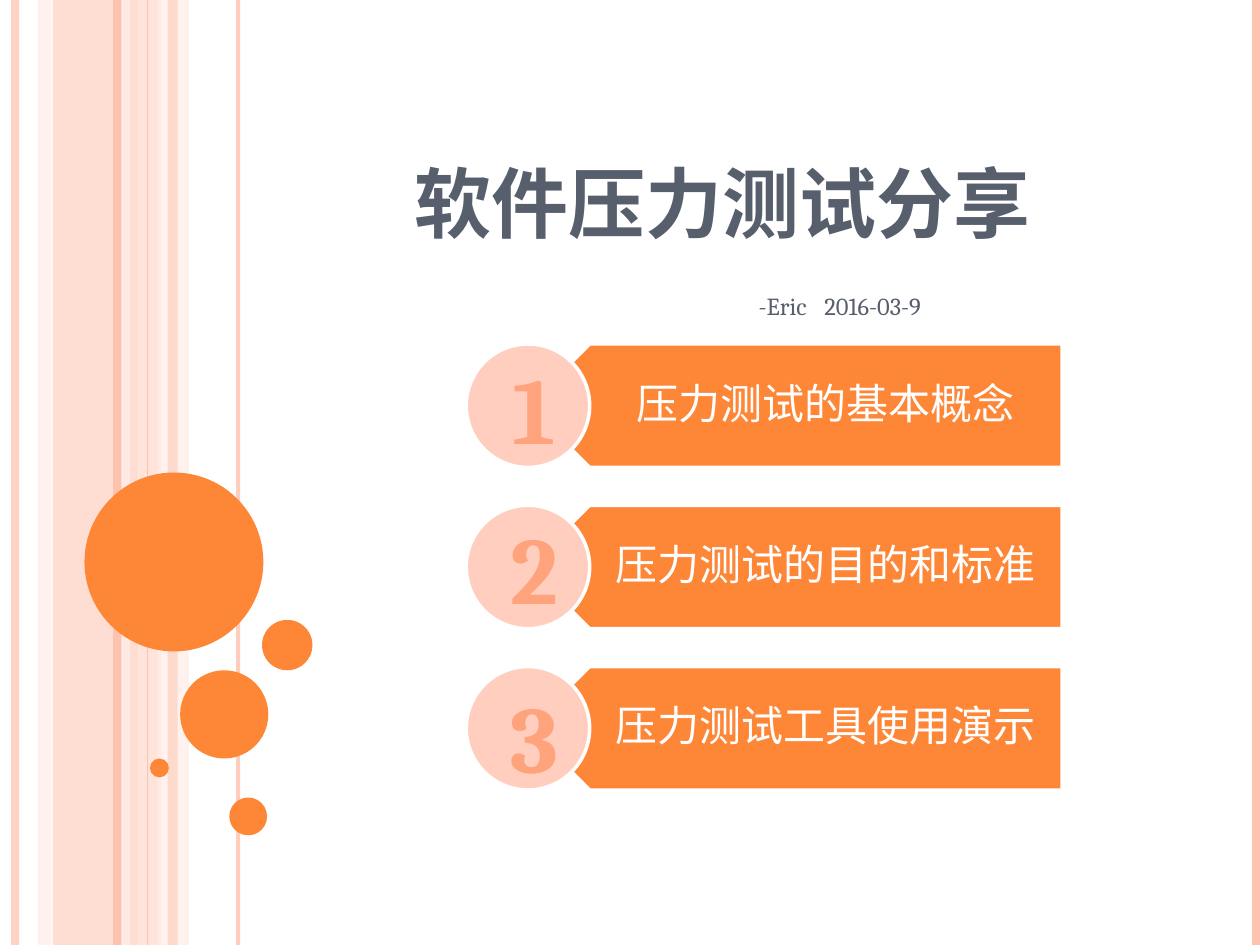
import pptx
import pptx.util
import pptx.dml.color
import pptx.enum.shapes
import pptx.enum.text
from lxml import etree
from pptx.util import Inches

RGB = pptx.dml.color.RGBColor
SHAPE = pptx.enum.shapes.MSO_SHAPE
ALIGN = pptx.enum.text.PP_ALIGN
ANCHOR = pptx.enum.text.MSO_ANCHOR
A = "{http://schemas.openxmlformats.org/drawingml/2006/main}"

ORANGE = RGB(0xFE, 0x86, 0x37)
PEACH = RGB(0xFE, 0xC3, 0xAE)
LIGHT = RGB(0xFF, 0xD9, 0xCE)
PALE = RGB(0xFF, 0xED, 0xE8)
DISC = RGB(0xFF, 0xCE, 0xBF)
DIGIT = RGB(0xFF, 0xA3, 0x7C)
SLATE = RGB(0x57, 0x5F, 0x6D)
WHITE = RGB(0xFF, 0xFF, 0xFF)


def add_run(p, text, size=14, color=SLATE, bold=False, spacing=0):
    r = p.add_run()
    r.text = text
    r.font.name = "Cambria"
    r.font.size = pptx.util.Pt(size)
    r.font.bold = bold
    r.font.color.rgb = color
    if spacing:
        r.font._element.set("spc", str(spacing * 100))


def set_opacity(sp, percent):
    for clr in sp._element.spPr.iter(A + "srgbClr"):
        etree.SubElement(clr, A + "alpha").set("val", str(percent * 1000))


prs = pptx.Presentation()
prs.slide_width, prs.slide_height = Inches(10), Inches(7.5)
s = prs.slides.add_slide(prs.slide_layouts[0])

# Vertical bands
for left, width, color, opacity in [
    (0.42, 0.67, PEACH, 54),
    (0.3, 0.11, LIGHT, 36),
    (1.08, 0.2, LIGHT, 70),
    (1.25, 0.25, PALE, 71),
    (1.33, 0.08, PEACH, 51),
]:
    sp = s.shapes.add_shape(SHAPE.RECTANGLE, Inches(left), 0, Inches(width), prs.slide_height)
    sp.shadow.inherit = False
    sp.fill.solid()
    sp.fill.fore_color.rgb = color
    sp.line.fill.background()
    set_opacity(sp, opacity)

# Vertical lines
for x, width, color, opacity in [
    (0.12, 4.5, PEACH, 73),
    (1, 4.5, PALE, 83),
    (0.93, 4.5, PEACH, 100),
    (1.89, 2.25, PEACH, 82),
    (1.17, 0.75, PEACH, 100),
    (9.97, 4.5, PEACH, 100),
]:
    line = s.shapes.add_connector(
        pptx.enum.shapes.MSO_CONNECTOR.STRAIGHT, Inches(x), 0, Inches(x), prs.slide_height)
    line.line.width = pptx.util.Pt(width)
    line.line.color.rgb = color
    set_opacity(line, opacity)
    etree.SubElement(line._element.spPr, A + "effectLst")

# Bubbles
for left, top, size in [
    (0.67, 3.75, 1.42),
    (1.43, 5.32, 0.7),
    (1.19, 6.02, 0.15),
    (1.82, 6.33, 0.3),
    (2.08, 4.92, 0.4),
]:
    sp = s.shapes.add_shape(SHAPE.OVAL, Inches(left), Inches(top), Inches(size), Inches(size))
    sp.shadow.inherit = False
    sp.fill.solid()
    sp.fill.fore_color.rgb = ORANGE
    sp.line.fill.background()

# Title and subtitle
title, subtitle = s.placeholders
for sp, top, height, anchor, indent in [
    (title, 0.34, 1.68, ANCHOR.BOTTOM, 0.69),
    (subtitle, 2.26, 1.5, ANCHOR.TOP, 3.42),
]:
    sp.left, sp.top, sp.width, sp.height = Inches(2.5), Inches(top), Inches(6.75), Inches(height)
    tf = sp.text_frame
    tf.auto_size = pptx.enum.text.MSO_AUTO_SIZE.NONE
    tf.vertical_anchor = anchor
    p = tf.paragraphs[0]
    p.alignment = ALIGN.LEFT
    pPr = p._p.get_or_add_pPr()
    pPr.set("marL", str(Inches(indent)))
    pPr.set("indent", "0")
add_run(title.text_frame.paragraphs[0], "软件压力测试分享", size=44, bold=True)
p = subtitle.text_frame.paragraphs[0]
p.space_before = pptx.util.Pt(6)
add_run(p, "-Eric")
add_run(p, " ", spacing=7)
add_run(p, "2016-03-9")

# Agenda: arrow bar, disc and number per row
SIZE, PITCH = 0.98, 1.28
BAR_LEFT, BAR_RIGHT, NOTCH = 4.19, 8.43, 4.68
for i, (topic, number_top) in enumerate([
    ("压力测试的基本概念", 2.73),
    ("压力测试的目的和标准", 4),
    ("压力测试工具使用演示", 5.34),
]):
    top = 2.73 + i * PITCH
    bottom = top + SIZE
    outline = s.shapes.build_freeform(Inches(BAR_RIGHT), Inches(bottom))
    outline.add_line_segments([
        (Inches(x), Inches(y)) for x, y in [
            (NOTCH, bottom), (BAR_LEFT, top + SIZE / 2), (NOTCH, top), (BAR_RIGHT, top)]
    ], close=True)
    bar = outline.convert_to_shape()
    disc = s.shapes.add_shape(
        SHAPE.OVAL, Inches(3.7), Inches(top), Inches(SIZE), Inches(SIZE))
    for sp, color in [(bar, ORANGE), (disc, DISC)]:
        sp.shadow.inherit = False
        sp.fill.solid()
        sp.fill.fore_color.rgb = color
        sp.line.color.rgb = WHITE
        sp.line.width = pptx.util.Pt(2)

    tf = bar.text_frame
    tf.word_wrap = True
    tf.vertical_anchor = ANCHOR.MIDDLE
    tf.margin_left, tf.margin_right = Inches(0.68), Inches(0.19)
    tf.margin_top = tf.margin_bottom = Inches(0.1)
    p = tf.paragraphs[0]
    p.alignment = ALIGN.CENTER
    p.line_spacing = 0.9
    p.space_after = pptx.util.Pt(8.4)
    add_run(p, topic, size=24, color=WHITE)

    number = s.shapes.add_textbox(Inches(3.95), Inches(number_top), Inches(0.58), Inches(1.01))
    p = number.text_frame.paragraphs[0]
    p.alignment = ALIGN.CENTER
    add_run(p, str(i + 1), size=54, color=DIGIT, bold=True, spacing=3)

prs.save("out.pptx")
